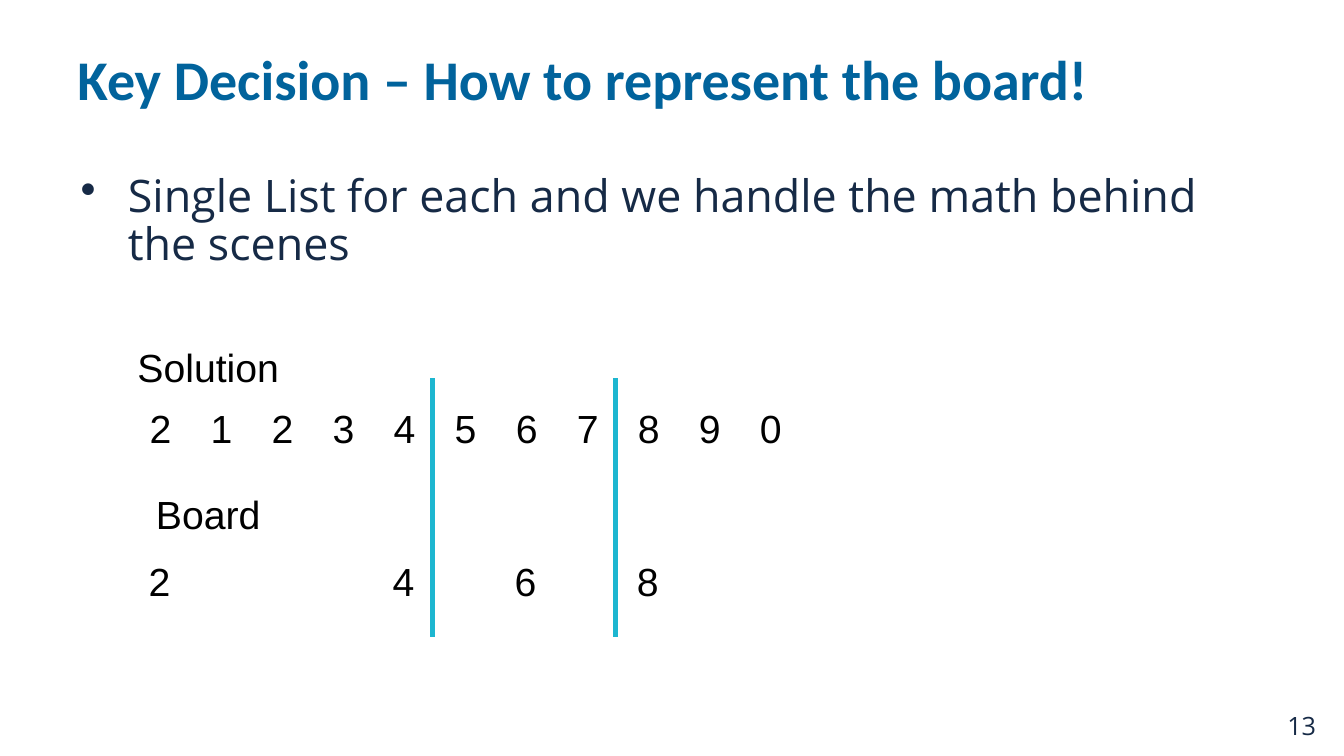
from lxml import etree
from pptx import Presentation
from pptx.dml.color import RGBColor
from pptx.enum.shapes import MSO_CONNECTOR
from pptx.enum.text import MSO_ANCHOR, PP_ALIGN
from pptx.oxml.ns import qn
from pptx.util import Inches, Pt

CENTER = PP_ALIGN.CENTER
MIDDLE = MSO_ANCHOR.MIDDLE
STRAIGHT = MSO_CONNECTOR.STRAIGHT

COLORS = {"title": "01639C", "body": "162A46", "digit": "000000", "divider": "1DB6D0"}

# Grid of the two lists
CELL_WIDTH = 6.66 / 11
CELL_HEIGHT = 0.65
SOLUTION = "21234567890"
BOARD = "2   4 6 8  "
DIVIDER_LEFT, DIVIDER_TOP, DIVIDER_BOTTOM = 4.29, 3.75, 6.32
DIVIDER_GAP = 3 * CELL_WIDTH


def style_runs(para, font, size, color, bold=False):
    for span in para.runs:
        span.font.name = font
        span.font.size = Pt(size)
        span.font.bold = bold
        span.font.color.rgb = RGBColor.from_string(COLORS[color])


def add_text(page, text, area, font, size, color, bold=False, align=None, anchor=None):
    box = page.shapes.add_textbox(*(Inches(length) for length in area))
    frame = box.text_frame
    frame.word_wrap = True
    frame.vertical_anchor = anchor
    frame.text = text
    para = frame.paragraphs[0]
    para.alignment = align
    style_runs(para, font, size, color, bold)
    return para


def add_bullet(para):
    properties = para._p.get_or_add_pPr()
    properties.set("marL", str(Inches(0.5)))
    properties.set("indent", str(Inches(-0.47)))
    bullet_color = etree.SubElement(properties, qn("a:buClr"))
    etree.SubElement(bullet_color, qn("a:srgbClr"), val=COLORS["body"])
    etree.SubElement(properties, qn("a:buChar"), char="•")
    para.line_spacing = 0.9


def add_digit_row(page, digits, left, top):
    width = CELL_WIDTH * len(digits)
    table = page.shapes.add_table(1, len(digits), Inches(left), Inches(top),
                                  Inches(width), Inches(CELL_HEIGHT)).table
    table.first_row = False
    table.horz_banding = False
    for column, digit in enumerate(digits):
        table.columns[column].width = Inches(CELL_WIDTH)
        cell = table.cell(0, column)
        cell.fill.background()
        cell.vertical_anchor = MIDDLE
        cell.text = digit.strip()
        para = cell.text_frame.paragraphs[0]
        para.alignment = CENTER
        style_runs(para, "Arial", 28, "digit")


def add_divider(page, x):
    line = page.shapes.add_connector(STRAIGHT, Inches(x), Inches(DIVIDER_TOP),
                                     Inches(x), Inches(DIVIDER_BOTTOM))
    line.line.color.rgb = RGBColor.from_string(COLORS["divider"])
    line.line.width = Pt(3.5)
    etree.SubElement(line._element.spPr, qn("a:effectLst"))


def main():
    deck = Presentation()
    deck.slide_width, deck.slide_height = Inches(13.33), Inches(7.5)
    page = deck.slides.add_slide(deck.slide_layouts[6])

    # Page number, title and key point
    add_text(page, "13", (12.67, 7, 0.5, 0.4), "Open Sans", 18, "body")
    add_text(page, "Key Decision – How to represent the board!", (0.67, 0.06, 12, 1.42),
             "Calibri", 40, "title", bold=True, anchor=MIDDLE)
    point = add_text(page, "Single List for each and we handle the math behind the scenes",
                     (0.67, 1.67, 11.61, 1.38), "Open Sans", 32, "body")
    add_bullet(point)

    # Labelled lists
    for label, label_top, digits, left, top in (
        ("Solution", 3.36, SOLUTION, 1.29, 3.94),
        ("Board", 4.82, BOARD, 1.28, 5.46),
    ):
        add_text(page, label, (0.56, label_top, 3.01, 0.57), "Arial", 28, "digit", align=CENTER)
        add_digit_row(page, digits, left, top)

    # Dividers between the numbers
    for index in range(2):
        add_divider(page, DIVIDER_LEFT + index * DIVIDER_GAP)

    deck.save("out.pptx")


if __name__ == "__main__":
    main()
